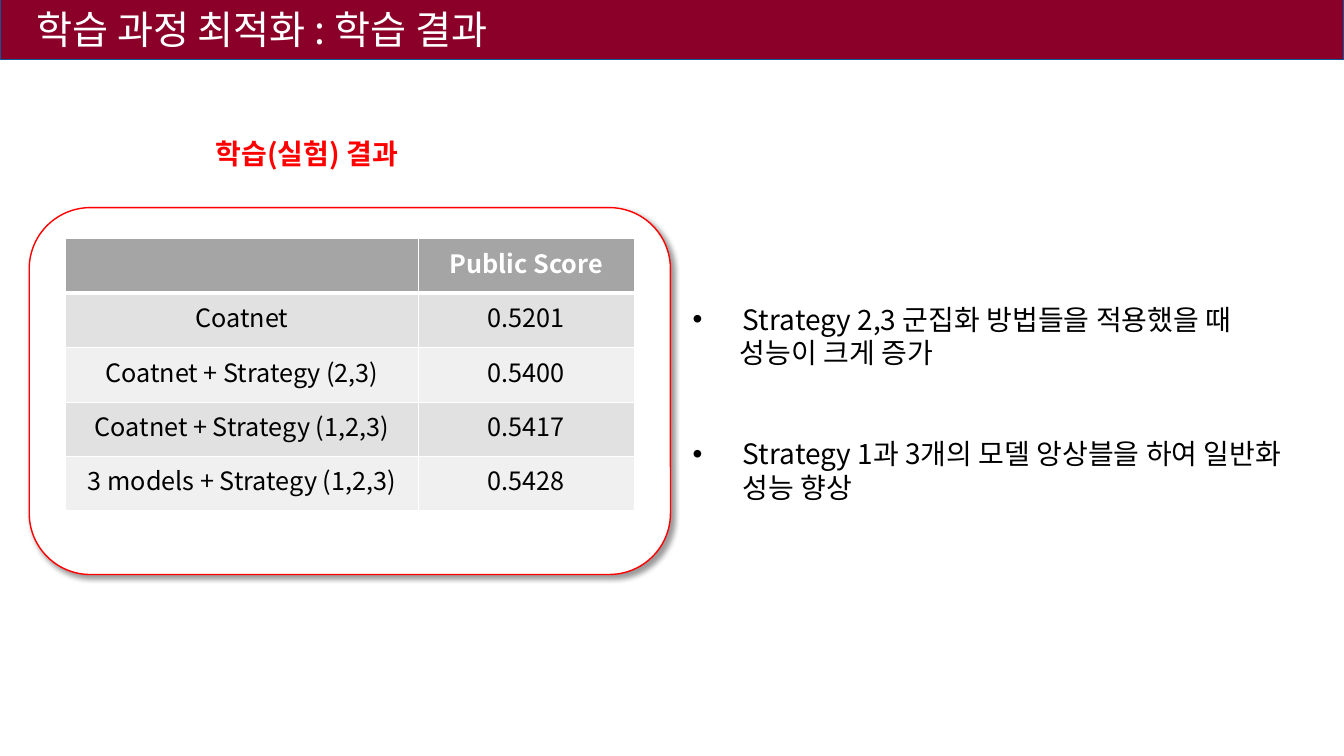
from dataclasses import dataclass

from lxml.etree import SubElement
from pptx import Presentation
from pptx.dml.color import RGBColor
from pptx.enum.shapes import MSO_SHAPE
from pptx.enum.text import MSO_ANCHOR, MSO_AUTO_SIZE, PP_ALIGN
from pptx.oxml.ns import qn
from pptx.util import Inches, Pt


@dataclass(frozen=True)
class Theme:
    font: str = "Noto Sans CJK KR"
    black: str = "000000"
    white: str = "FFFFFF"
    red: str = "FF0000"
    crimson: str = "8B0029"
    navy: str = "0F569B"
    header_gray: str = "A5A5A5"
    row_grays: tuple = ("E1E1E1", "F0F0F0")
    title_size: int = 28
    body_size: int = 20
    table_size: int = 18


class SlideBuilder:
    def __init__(self, slide, theme):
        self.slide = slide
        self.theme = theme

    def add_text(self, paragraph, text, size, color, bold=False, **formats):
        run = paragraph.add_run()
        run.text = text
        run.font.color.rgb = RGBColor.from_string(color)
        font_values = {"name": self.theme.font, "size": Pt(size), "bold": bold}
        for target, values in ((run.font, font_values), (paragraph, formats)):
            for name, value in values.items():
                setattr(target, name, value)
        east_asian = SubElement(run.font._element, qn("a:ea"))
        east_asian.set("typeface", self.theme.font)

    def frame(self, shape):
        values = {"word_wrap": True, "vertical_anchor": MSO_ANCHOR.TOP,
                  "auto_size": MSO_AUTO_SIZE.SHAPE_TO_FIT_TEXT}
        for name, value in values.items():
            setattr(shape.text_frame, name, value)
        return shape.text_frame

    def title(self, text, left, top, width, height):
        shape = self.slide.shapes.title
        box = {"left": left, "top": top, "width": width, "height": height}
        for name, value in box.items():
            setattr(shape, name, Inches(value))
        paragraph = self.frame(shape).paragraphs[0]
        self.add_text(paragraph, text, self.theme.title_size, self.theme.white,
                      alignment=PP_ALIGN.LEFT)
        # Bring the title in front of its band
        self.slide.shapes._spTree.append(shape._element)

    def text_box(self, *box):
        return self.frame(self.slide.shapes.add_textbox(*map(Inches, box)))

    def shape(self, kind, box, fill, line):
        shape = self.slide.shapes.add_shape(kind, *map(Inches, box))
        shape.shadow.inherit = False
        shape.fill.solid()
        shape.fill.fore_color.rgb = RGBColor.from_string(fill)
        shape.line.color.rgb = RGBColor.from_string(line)
        shape.line.width = Pt(1)
        return shape

    def drop_shadow(self, shape):
        effects = shape._element.spPr.find(qn("a:effectLst"))
        shadow = SubElement(effects, qn("a:outerShdw"), blurRad=str(Pt(4)),
                            dist=str(Pt(3)), dir="2700000", algn="tl", rotWithShape="0")
        color = SubElement(shadow, qn("a:srgbClr"), val=self.theme.black)
        SubElement(color, qn("a:alpha"), val="40000")

    def indent(self, paragraph, margin, bullet=None):
        properties = paragraph._p.get_or_add_pPr()
        properties.set("marL", str(Inches(margin)))
        if bullet:
            properties.set("indent", str(-Inches(margin)))
            SubElement(properties, qn("a:buFont"), typeface="Arial")
            SubElement(properties, qn("a:buChar"), char=bullet)

    def cell_borders(self, cell, bottom_width):
        properties = cell._tc.get_or_add_tcPr()
        widths = {"lnL": 1, "lnR": 1, "lnT": 1, "lnB": bottom_width}
        for index, (side, width) in enumerate(widths.items()):
            line = properties.makeelement(qn(f"a:{side}"), {"w": str(Pt(width))})
            fill = SubElement(line, qn("a:solidFill"))
            SubElement(fill, qn("a:srgbClr"), val=self.theme.white)
            properties.insert(index, line)

    def table(self, rows, left, top, column_widths, row_height):
        theme = self.theme
        box = (left, top, sum(column_widths), row_height * len(rows))
        table = self.slide.shapes.add_table(
            len(rows), len(column_widths), *map(Inches, box)).table
        for column, width in zip(table.columns, column_widths):
            column.width = Inches(width)
        for row_index, values in enumerate(rows):
            table.rows[row_index].height = Inches(row_height)
            header = row_index == 0
            fill = theme.header_gray if header else theme.row_grays[(row_index - 1) % 2]
            for column_index, text in enumerate(values):
                cell = table.cell(row_index, column_index)
                cell.fill.solid()
                cell.fill.fore_color.rgb = RGBColor.from_string(fill)
                self.cell_borders(cell, 3 if header else 1)
                if text:
                    self.add_text(cell.text_frame.paragraphs[0], text, theme.table_size,
                                  theme.white if header else theme.black, header,
                                  alignment=PP_ALIGN.CENTER)


SCORES = [
    ("", "Public Score"),
    ("Coatnet", "0.5201"),
    ("Coatnet + Strategy (2,3)", "0.5400"),
    ("Coatnet + Strategy (1,2,3)", "0.5417"),
    ("3 models + Strategy (1,2,3)", "0.5428"),
]

# Text, left margin, bullet, space before in points
FINDINGS = [
    ("Strategy 2,3 군집화 방법들을 적용했을 때", 0.5, "•", 0),
    ("성능이 크게 증가", 0.47, None, 0),
    ("Strategy 1과 3개의 모델 앙상블을 하여 일반화 성능 향상", 0.5, "•", 48),
]


def main():
    presentation = Presentation()
    presentation.slide_width = Inches(13.33)
    presentation.slide_height = Inches(7.5)
    theme = Theme()
    slide = presentation.slides.add_slide(presentation.slide_layouts[5])
    builder = SlideBuilder(slide, theme)

    # Result panel
    panel = builder.shape(MSO_SHAPE.ROUNDED_RECTANGLE, (0.29, 2.06, 6.36, 3.64),
                          theme.white, theme.red)
    builder.drop_shadow(panel)

    # Findings
    findings = builder.text_box(6.77, 2.95, 6.31, 2.12)
    for index, (text, margin, bullet, space) in enumerate(FINDINGS):
        paragraph = findings.add_paragraph() if index else findings.paragraphs[0]
        builder.add_text(paragraph, text, theme.body_size, theme.black,
                         space_before=Pt(space))
        builder.indent(paragraph, margin, bullet)

    # Score table
    builder.table(SCORES, 0.65, 2.37, (3.5, 2.14), 0.54)

    # Title band
    builder.shape(MSO_SHAPE.RECTANGLE, (0, -0.01, 13.33, 0.6), theme.crimson, theme.navy)
    builder.title("학습 과정 최적화 : 학습 결과", 0.26, 0, 12.82, 0.57)

    # Panel caption
    caption = builder.text_box(2.04, 1.31, 2.15, 0.44)
    builder.add_text(caption.paragraphs[0], "학습(실험) 결과", theme.body_size, theme.red, True)

    presentation.save("out.pptx")


if __name__ == "__main__":
    main()
